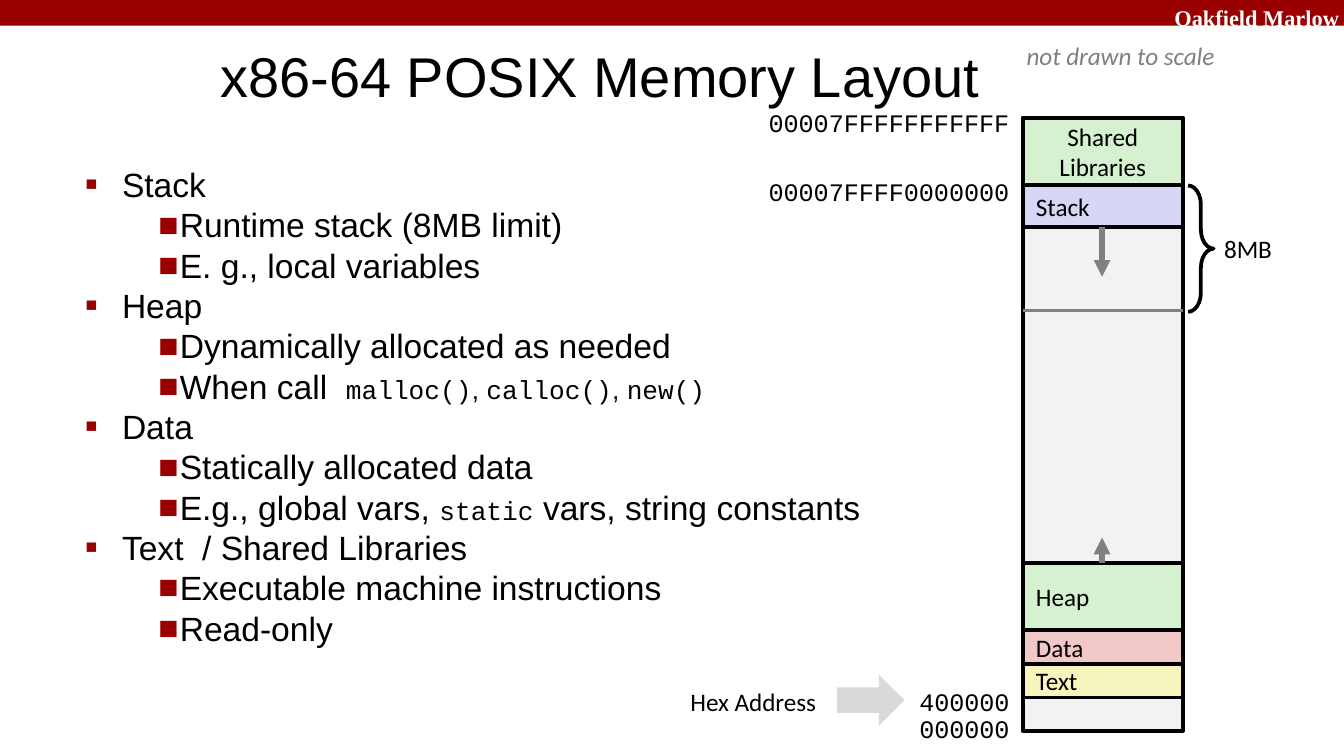
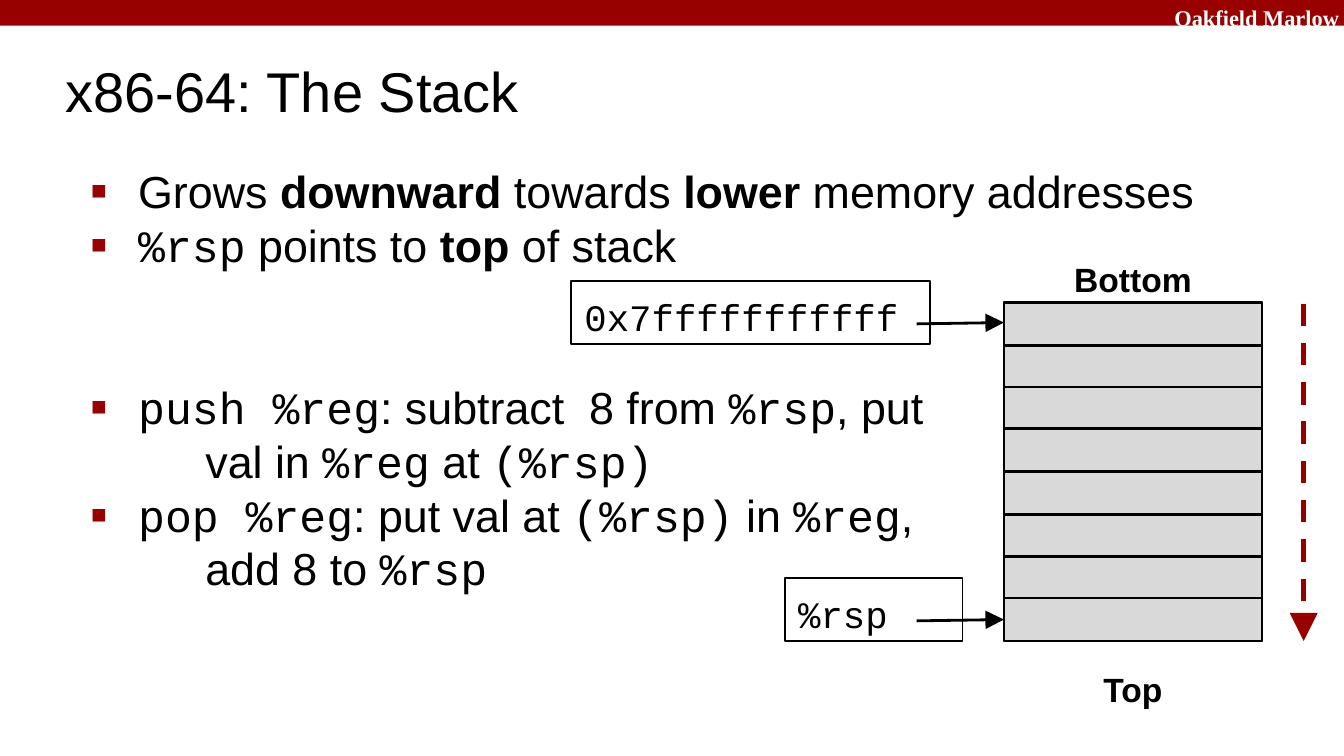
from dataclasses import dataclass, replace

from lxml.etree import SubElement
from pptx import Presentation
from pptx.dml.color import RGBColor
from pptx.enum.dml import MSO_LINE
from pptx.enum.shapes import MSO_CONNECTOR, MSO_SHAPE
from pptx.enum.text import MSO_ANCHOR as ANCHOR, PP_ALIGN as ALIGN
from pptx.oxml.ns import qn
from pptx.util import Inches, Pt

PX = 9144
BLACK = RGBColor(0x00, 0x00, 0x00)
WHITE = RGBColor(0xFF, 0xFF, 0xFF)
CRIMSON = RGBColor(0x99, 0x00, 0x00)
DARK_RED = RGBColor(0x98, 0x00, 0x00)
GRAY = RGBColor(0x80, 0x80, 0x80)
SILVER = RGBColor(0xD9, 0xD9, 0xD9)
PALE = RGBColor(0xF2, 0xF2, 0xF2)
GREEN = RGBColor(0xD5, 0xF1, 0xCF)
LAVENDER = RGBColor(0xD6, 0xD6, 0xF5)
PINK = RGBColor(0xF1, 0xC7, 0xC7)
YELLOW = RGBColor(0xF6, 0xF5, 0xBD)


@dataclass(frozen=True)
class Box:
    """A rectangle in px."""
    left: int
    top: int
    width: int
    height: int

    def inner(self, left, top, width, height):
        """Return a box placed relative to this one."""
        return Box(self.left + left, self.top + top, width, height)

    def emu(self):
        """Return the four lengths in EMU."""
        return [length * PX for length in (self.left, self.top, self.width, self.height)]


@dataclass(frozen=True)
class Style:
    """The look of a run."""
    size: float
    font: str = "Arial"
    color: RGBColor = BLACK
    bold: bool = False
    italic: bool = False


TITLE = Style(30)
BRAND = Style(12, "Times New Roman", WHITE, bold=True)
LABEL = Style(13.5, "Calibri")
ADDRESS = Style(13.5, "Courier New")
SMALL = Style(18)
SMALL_COMMA = Style(14)
SMALL_CODE = Style(14, "Courier New")
LARGE = Style(24)
LARGE_BOLD = replace(LARGE, bold=True)
LARGE_CODE = replace(LARGE, font="Courier New")
POINTER = Style(20, "Courier New")
END = Style(18, bold=True)


def add_runs(paragraph, runs):
    """Add (text, style) pairs to a paragraph."""
    for text, style in runs:
        run = paragraph.add_run()
        run.text = text
        font = run.font
        font.size, font.name = Pt(style.size), style.font
        font.bold, font.italic = style.bold, style.italic
        font.color.rgb = style.color


def set_frame(shape, anchor=ANCHOR.TOP, wrap=True, pad=5):
    """Set the text frame's anchor, wrapping and margins."""
    frame = shape.text_frame
    frame.word_wrap, frame.vertical_anchor = wrap, anchor
    frame.margin_left = frame.margin_right = 10 * PX
    frame.margin_top = frame.margin_bottom = pad * PX
    return frame


def write(shape, text, style, align=ALIGN.LEFT, **frame_options):
    """Write each line of text as a paragraph."""
    frame = set_frame(shape, **frame_options)
    for number, line in enumerate(text.split("\n")):
        paragraph = frame.add_paragraph() if number else frame.paragraphs[0]
        paragraph.alignment = align
        add_runs(paragraph, [(line, style)])


def add_text(shapes, box, text, style, **options):
    """Add a text box."""
    write(shapes.add_textbox(*box.emu()), text, style, **options)


def add_box(shapes, box, fill=None, line=None, kind=MSO_SHAPE.RECTANGLE):
    """Add a preset shape; line is the border width in points."""
    shape = shapes.add_shape(kind, *box.emu())
    shape.shadow.inherit = False
    if fill is None:
        shape.fill.background()
    else:
        shape.fill.solid()
        shape.fill.fore_color.rgb = fill
    if line is None:
        shape.line.fill.background()
    else:
        shape.line.color.rgb, shape.line.width = BLACK, Pt(line)
    return shape


def add_line(shapes, start, end, color, width, head=None, dash=None):
    """Add a straight line; head is the size of its arrowhead."""
    points = [length * PX for length in (*start, *end)]
    connector = shapes.add_connector(MSO_CONNECTOR.STRAIGHT, *points)
    line = connector.line
    line.color.rgb, line.width = color, Pt(width)
    if dash:
        line.dash_style = dash
    if head:
        SubElement(line._get_or_add_ln(), qn("a:tailEnd"), type="triangle", w=head, len=head)
    SubElement(connector._element.spPr, qn("a:effectLst"))


def set_indent(paragraph, margin, hang=0, bullet_size=None):
    """Indent a paragraph and give it a square bullet if sized."""
    properties = paragraph._p.get_or_add_pPr()
    properties.set("marL", str(margin * PX))
    properties.set("indent", str(-hang * PX))
    if bullet_size:
        color = SubElement(properties, qn("a:buClr"))
        SubElement(color, qn("a:srgbClr"), val=str(CRIMSON))
        SubElement(properties, qn("a:buSzPct"), val=str(bullet_size * 1000))
        SubElement(properties, qn("a:buFont"), typeface="Arial")
        SubElement(properties, qn("a:buChar"), char="■")


def add_body(slide, box, items, indents):
    """Add body paragraphs of (level, space before, runs)."""
    frame = set_frame(slide.shapes.add_textbox(*box.emu()), pad=10)
    for number, (level, space, runs) in enumerate(items):
        paragraph = frame.add_paragraph() if number else frame.paragraphs[0]
        paragraph.space_before = Pt(space)
        set_indent(paragraph, *indents[level])
        add_runs(paragraph, runs)


def add_base(presentation, title, title_box):
    """Add a slide with the top band, the brand and a title."""
    slide = presentation.slides.add_slide(presentation.slide_layouts[6])
    add_box(slide.shapes, Box(0, 0, 1000, 19), CRIMSON)
    add_text(slide.shapes, Box(864, -2, 143, 23), "Oakfield Marlow", BRAND)
    add_text(slide.shapes, title_box, title, TITLE, anchor=ANCHOR.MIDDLE, pad=10)
    return slide


def add_memory_map(slide, box):
    """Draw the memory column with its segments, arrows and stack limit."""
    shapes = slide.shapes
    add_box(shapes, box, PALE, 2)
    segments = [("Shared\nLibraries", 0, 50, GREEN), ("Stack", 50, 31, LAVENDER),
                ("Heap", 331, 50, GREEN), ("Data", 381, 25, PINK), ("Text", 406, 25, YELLOW)]
    for name, top, height, fill in segments:
        segment = add_box(shapes, box.inner(0, top, box.width, height), fill, 2)
        align = ALIGN.CENTER if "\n" in name else ALIGN.LEFT
        write(segment, name, LABEL, align, anchor=ANCHOR.MIDDLE, wrap=False)
    middle, limit = box.left + box.width // 2, box.top + 143
    for start, end in ((81, 118), (331, 312)):
        add_line(shapes, (middle, box.top + start), (middle, box.top + end), GRAY, 3, "med")
    add_line(shapes, (box.left, limit), (box.left + box.width, limit), GRAY, 2)
    brace = add_box(shapes, box.inner(123, 50, 19, 94), None, 2, MSO_SHAPE.LEFT_BRACE)
    brace.adjustments[0] = 0.75
    brace.rotation = 180
    add_text(shapes, box.inner(140, 81, 56, 33), "8MB", LABEL, wrap=False)


def add_addresses(slide, box):
    """Label the memory column's addresses on its left side."""
    shapes = slide.shapes
    for text, top, width in (("00007FFFFFFFFFFF", -13, 203), ("00007FFFF0000000", 38, 203),
                             ("400000", 418, 89), ("000000", 438, 89)):
        add_text(shapes, box.inner(-width, top, width, 33), text, ADDRESS,
                 align=ALIGN.RIGHT, wrap=False)
    add_text(shapes, box.inner(-319, 418, 175, 33), "Hex Address", LABEL, align=ALIGN.RIGHT)
    add_box(shapes, box.inner(-138, 414, 50, 38), SILVER, kind=MSO_SHAPE.RIGHT_ARROW)


def add_stack(slide, box, rows=8):
    """Draw the stack's cells, its two ends, pointers and growth arrow."""
    shapes = slide.shapes.add_group_shape().shapes
    add_box(shapes, box, SILVER, 1.5)
    for row in range(rows):
        top = round(row * box.height / rows)
        bottom = round((row + 1) * box.height / rows)
        add_box(shapes, box.inner(0, top, box.width, bottom - top), SILVER, 1.5)
    for text, top in (("Bottom", -42), ("Top", 263)):
        add_text(shapes, box.inner(0, top, box.width, 32), text, END,
                 align=ALIGN.CENTER, pad=10)
    for text, left, top, width in (("0x7fffffffffff", -322, -16, 267), ("%rsp", -163, 205, 132)):
        pointer = add_box(shapes, box.inner(left, top, width, 47), None, 0.75)
        write(pointer, text, POINTER, pad=10)
        height = box.top + top + 31
        add_line(shapes, (box.left - 65, height + 1), (box.left, height), BLACK, 1.5, "lg")
    growth = box.left + box.width + 31
    add_line(shapes, (growth, box.top + 1), (growth, box.top + box.height), DARK_RED, 3,
             "lg", MSO_LINE.DASH)


def build_memory_layout(presentation, body):
    """Build the slide on the memory layout."""
    slide = add_base(presentation, "x86-64 POSIX Memory Layout", Box(154, 25, 623, 62))
    topics = [
        ("Stack", [[("Runtime stack (8MB limit)", SMALL)], [("E. g., local variables", SMALL)]]),
        ("Heap", [[("Dynamically allocated as needed", SMALL)],
                  [("When call  ", SMALL), ("malloc()", SMALL_CODE), (", ", SMALL_COMMA),
                   ("calloc()", SMALL_CODE), (", ", SMALL_COMMA), ("new()", SMALL_CODE)]]),
        ("Data", [[("Statically allocated data", SMALL)],
                  [("E.g., global vars, ", SMALL), ("static", SMALL_CODE),
                   (" vars, string constants", SMALL)]]),
        ("Text  / Shared Libraries", [[("Executable machine instructions", SMALL)],
                                      [("Read-only", SMALL)]]),
    ]
    items = []
    for topic, details in topics:
        items.append((0, 0, [(topic, SMALL)]))
        items.extend((1, 0, runs) for runs in details)
    add_body(slide, body, items, [(38, 27, 58), (81, 16, 100)])
    column = Box(761, 88, 119, 456)
    add_memory_map(slide, column)
    add_addresses(slide, column)
    add_text(slide.shapes, Box(754, 25, 163, 33), "not drawn to scale",
             replace(LABEL, color=GRAY, italic=True), wrap=False)


def build_stack(presentation, body):
    """Build the slide on the stack."""
    slide = add_base(presentation, "x86-64: The Stack", Box(39, 36, 830, 62))
    items = [
        (0, 0, [("Grows ", LARGE), ("downward", LARGE_BOLD), (" towards ", LARGE),
                ("lower", LARGE_BOLD), (" memory addresses", LARGE)]),
        (0, 0, [("%rsp", LARGE_CODE), (" points to ", LARGE), ("top", LARGE_BOLD),
                (" of stack", LARGE)]),
        (0, 58, [("push %reg", LARGE_CODE), (": subtract  8 from ", LARGE),
                 ("%rsp", LARGE_CODE), (", put", LARGE)]),
        (1, 0, [("val in ", LARGE), ("%reg", LARGE_CODE), (" at ", LARGE),
                ("(%rsp)", LARGE_CODE)]),
        (0, 0, [("pop %reg", LARGE_CODE), (": put val at ", LARGE), ("(%rsp)", LARGE_CODE),
                (" in ", LARGE), ("%reg", LARGE_CODE), (",", LARGE)]),
        (1, 0, [("add 8 to ", LARGE), ("%rsp", LARGE_CODE)]),
    ]
    add_body(slide, body, items, [(50, 35, 58), (100,)])
    add_stack(slide, Box(747, 225, 192, 252))


def main():
    """Build and save the slides."""
    presentation = Presentation()
    presentation.slide_width, presentation.slide_height = Inches(10), Inches(5.625)
    body = Box(43, 112, 864, 408)
    build_memory_layout(presentation, body)
    build_stack(presentation, body)
    presentation.save("out.pptx")


if __name__ == "__main__":
    main()
